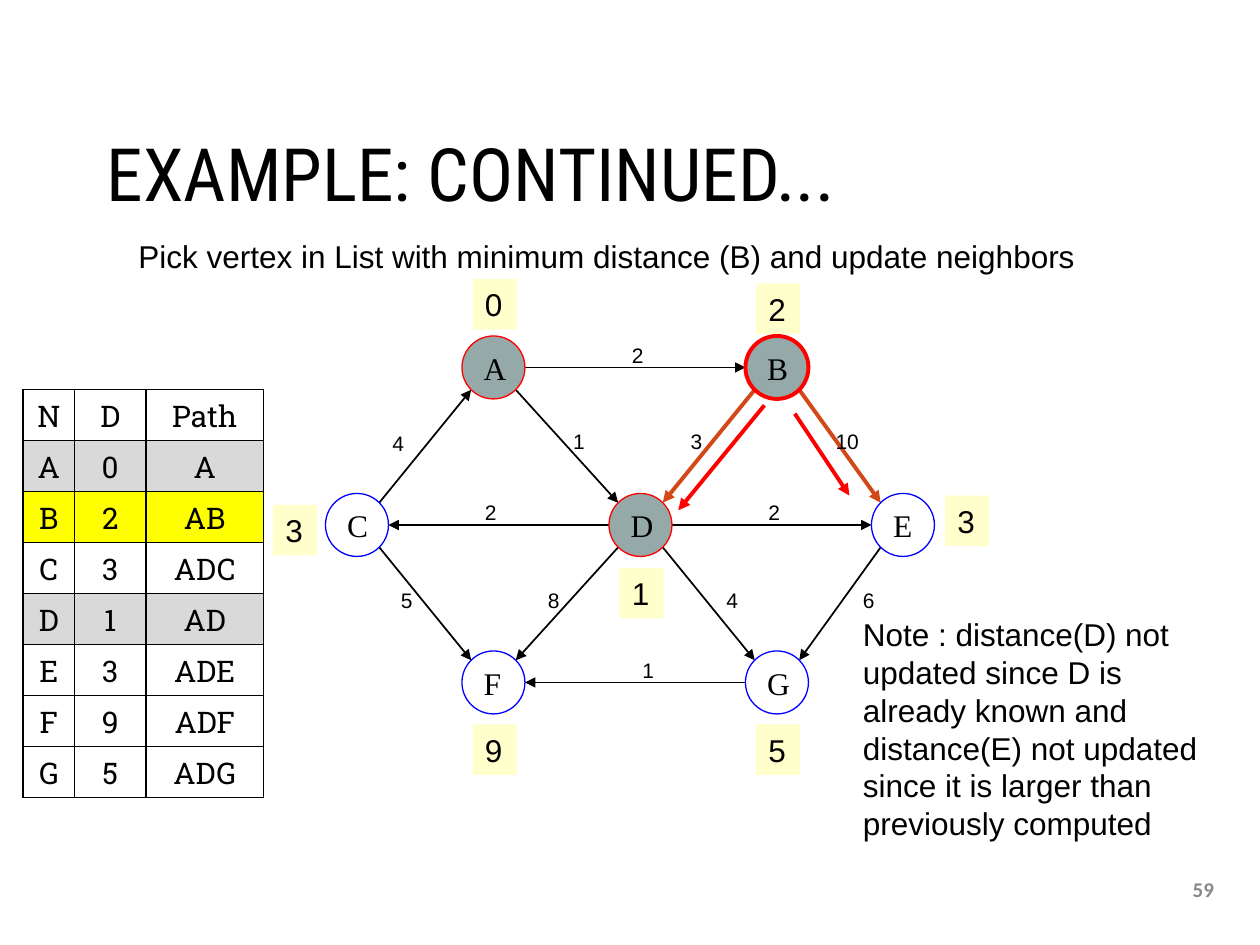
from math import copysign, sqrt

from lxml import etree
from pptx import Presentation
from pptx.dml.color import RGBColor
from pptx.enum.shapes import MSO_CONNECTOR, MSO_SHAPE
from pptx.enum.text import MSO_ANCHOR, MSO_AUTO_SIZE, PP_ALIGN
from pptx.oxml.ns import qn
from pptx.util import Inches, Pt

STRAIGHT = MSO_CONNECTOR.STRAIGHT
ELLIPSE, RECTANGLE = MSO_SHAPE.OVAL, MSO_SHAPE.RECTANGLE
TOP, MIDDLE = MSO_ANCHOR.TOP, MSO_ANCHOR.MIDDLE
LEFT, CENTER = PP_ALIGN.LEFT, PP_ALIGN.CENTER
GROW = MSO_AUTO_SIZE.SHAPE_TO_FIT_TEXT

BLACK = RGBColor(0x00, 0x00, 0x00)
GRAY = RGBColor(0x89, 0x89, 0x89)
SLATE = RGBColor(0x96, 0xA9, 0xA9)
RED = RGBColor(0xFF, 0x00, 0x00)
BLUE = RGBColor(0x00, 0x00, 0xFF)
ORANGE = RGBColor(0xD3, 0x48, 0x17)
CREAM = RGBColor(0xFF, 0xFF, 0xCC)
SILVER = RGBColor(0xD9, 0xD9, 0xD9)
YELLOW = RGBColor(0xFF, 0xFF, 0x00)

COLUMNS, ROWS = 120, 90
RADIUS = 3

# Node: centre column and row, fill, outline, outline width
NODES = {
    "A": (47, 35, SLATE, RED, 0.75),
    "B": (74, 35, SLATE, RED, 2.25),
    "C": (34, 50, None, BLUE, 0.75),
    "D": (61, 50, SLATE, RED, 0.75),
    "E": (86, 50, None, BLUE, 0.75),
    "F": (47, 65, None, BLUE, 0.75),
    "G": (74, 65, None, BLUE, 0.75),
}
# Edge: start, end, weight, label column and row
EDGES = [
    ("A", "B", "2", 59, 32), ("A", "D", "1", 53.4, 40.2),
    ("B", "D", "3", 64.6, 40.2), ("B", "E", "10", 78.4, 40.2),
    ("C", "A", "4", 36.2, 40.4), ("C", "F", "5", 37, 55.4),
    ("D", "C", "2", 45, 47), ("D", "E", "2", 72, 47),
    ("D", "F", "8", 51, 55.4), ("D", "G", "4", 68, 55.4),
    ("E", "G", "6", 81, 55.4), ("G", "F", "1", 60, 62),
]
UPDATE_ARROWS = [((72.8, 38.6), (64.6, 48.6)), ((75.7, 39.4), (80.9, 47.2))]
DISTANCES = [
    ("0", 45, 26.6), ("2", 72, 27), ("3", 26, 48.1), ("3", 90, 47.2),
    ("1", 59, 54.1), ("9", 45, 69), ("5", 72, 69),
]
PATH_TABLE = [
    ("N", "D", "Path"), ("A", "0", "A"), ("B", "2", "AB"), ("C", "3", "ADC"),
    ("D", "1", "AD"), ("E", "3", "ADE"), ("F", "9", "ADF"), ("G", "5", "ADG"),
]
ROW_FILLS = {"A": SILVER, "B": YELLOW, "D": SILVER}


def anchor(node, other):
    """Point on the node's outline facing the other: at its side or at 45 degrees."""
    column, row = NODES[node][:2]
    across, down = NODES[other][0] - column, NODES[other][1] - row
    if down == 0:
        return column + copysign(RADIUS, across), row
    reach = RADIUS / sqrt(2)
    return column + copysign(reach, across), row + copysign(reach, down)


class GraphSlide:
    """Style and current slide; all lengths are grid columns and rows."""

    def __init__(self, presentation):
        self.slide = presentation.slides.add_slide(presentation.slide_layouts[6])
        self.column = presentation.slide_width / COLUMNS
        self.row = presentation.slide_height / ROWS

    def place(self, column, row):
        return round(column * self.column), round(row * self.row)

    def add_words(self, frame, words, size, font="Arial", color=BLACK, bold=False,
                  align=LEFT, anchor_at=TOP, wrap=False):
        frame.word_wrap = wrap
        frame.vertical_anchor = anchor_at
        paragraph = frame.paragraphs[0]
        paragraph.alignment = align
        run = paragraph.add_run()
        run.text = words
        run.font.size, run.font.name = Pt(size), font
        run.font.color.rgb, run.font.bold = color, bold
        return paragraph

    def text(self, box, words, size, grow=True, **style):
        shape = self.slide.shapes.add_textbox(*self.place(*box[:2]), *self.place(*box[2:]))
        paragraph = self.add_words(shape.text_frame, words, size, **style)
        if grow:
            shape.text_frame.auto_size = GROW
        return paragraph

    def shape(self, kind, box, fill, outline=None, width=0.75):
        shape = self.slide.shapes.add_shape(kind, *self.place(*box[:2]), *self.place(*box[2:]))
        shape.shadow.inherit = False
        if fill is None:
            shape.fill.background()
        else:
            shape.fill.solid()
            shape.fill.fore_color.rgb = fill
        if outline is None:
            shape.line.fill.background()
        else:
            shape.line.color.rgb = outline
            shape.line.width = Pt(width)
        return shape

    def node(self, name):
        column, row, *look = NODES[name]
        box = (column - RADIUS, row - RADIUS, 2 * RADIUS, 2 * RADIUS)
        shape = self.shape(ELLIPSE, box, *look)
        self.add_words(shape.text_frame, name, 18, font="Times New Roman", anchor_at=MIDDLE)

    def distance(self, value, column, row):
        shape = self.shape(RECTANGLE, (column, row, 4.2, 4.8), CREAM)
        self.add_words(shape.text_frame, value, 18)
        shape.text_frame.auto_size = GROW

    def arrow(self, start, end, color=BLACK, width=1):
        connector = self.slide.shapes.add_connector(
            STRAIGHT, *self.place(*start), *self.place(*end))
        connector.line.color.rgb = color
        connector.line.width = Pt(width)
        properties = connector._element.spPr
        etree.SubElement(properties.find(qn("a:ln")), qn("a:tailEnd"), type="triangle")
        etree.SubElement(properties, qn("a:effectLst"))

    def border(self, cell):
        properties = cell._tc.get_or_add_tcPr()
        for side in ("a:lnL", "a:lnR", "a:lnT", "a:lnB"):
            line = etree.SubElement(properties, qn(side), w=str(Pt(1)))
            fill = etree.SubElement(line, qn("a:solidFill"))
            etree.SubElement(fill, qn("a:srgbClr"), val=str(BLACK))

    def table(self, column, row, widths, height, records):
        frame = self.slide.shapes.add_table(
            len(records), len(widths), *self.place(column, row),
            *self.place(sum(widths), height * len(records)))
        table = frame.table
        table.first_row = table.horz_banding = False
        for table_column, width in zip(table.columns, widths):
            table_column.width = round(width * self.column)
        for table_row, record in zip(table.rows, records):
            table_row.height = round(height * self.row)
            for cell, words in zip(table_row.cells, record):
                self.border(cell)
                fill = ROW_FILLS.get(record[0])
                if fill is None:
                    cell.fill.background()
                else:
                    cell.fill.solid()
                    cell.fill.fore_color.rgb = fill
                cell.margin_left = cell.margin_right = Inches(0.05)
                cell.vertical_anchor = MIDDLE
                self.add_words(cell.text_frame, words, 17, font="Roboto Slab",
                               align=CENTER, anchor_at=MIDDLE, wrap=True)


def main():
    presentation = Presentation()
    presentation.slide_width, presentation.slide_height = Inches(10), Inches(7.5)
    graph = GraphSlide(presentation)

    title = graph.text((9, 6.4, 102, 21.1), "EXAMPLE: CONTINUED...", 42, grow=False,
                       font="Roboto Condensed", anchor_at=MIDDLE, wrap=True)
    title.line_spacing = 0.9
    graph.text((12, 22, 92.5, 4.8),
               "Pick vertex in List with minimum distance (B) and update neighbors", 18)

    for start, end, *_ in EDGES:
        look = (ORANGE, 2.25) if start == "B" else (BLACK, 1)
        graph.arrow(anchor(start, end), anchor(end, start), *look)
    for name in NODES:
        graph.node(name)
    for _, _, weight, column, row in EDGES:
        graph.text((column, row, 2.4 + 1.2 * len(weight), 3.6), weight, 12, anchor_at=MIDDLE)
    for distance in DISTANCES:
        graph.distance(*distance)
    for start, end in UPDATE_ARROWS:
        graph.arrow(start, end, RED, 2.25)

    graph.table(2.2, 37.1, (4.9, 6.8, 11.2), 4.86, PATH_TABLE)
    graph.text((81, 58, 36, 23),
               "Note : distance(D) not updated since D is already known and "
               "distance(E) not updated since it is larger than previously computed",
               18, wrap=True)
    graph.text((111.4, 82.3, 6.4, 4.8), "59", 12, grow=False, font="Calibri", color=GRAY,
               bold=True, align=CENTER, anchor_at=MIDDLE, wrap=True)
    presentation.save("out.pptx")


if __name__ == "__main__":
    main()
